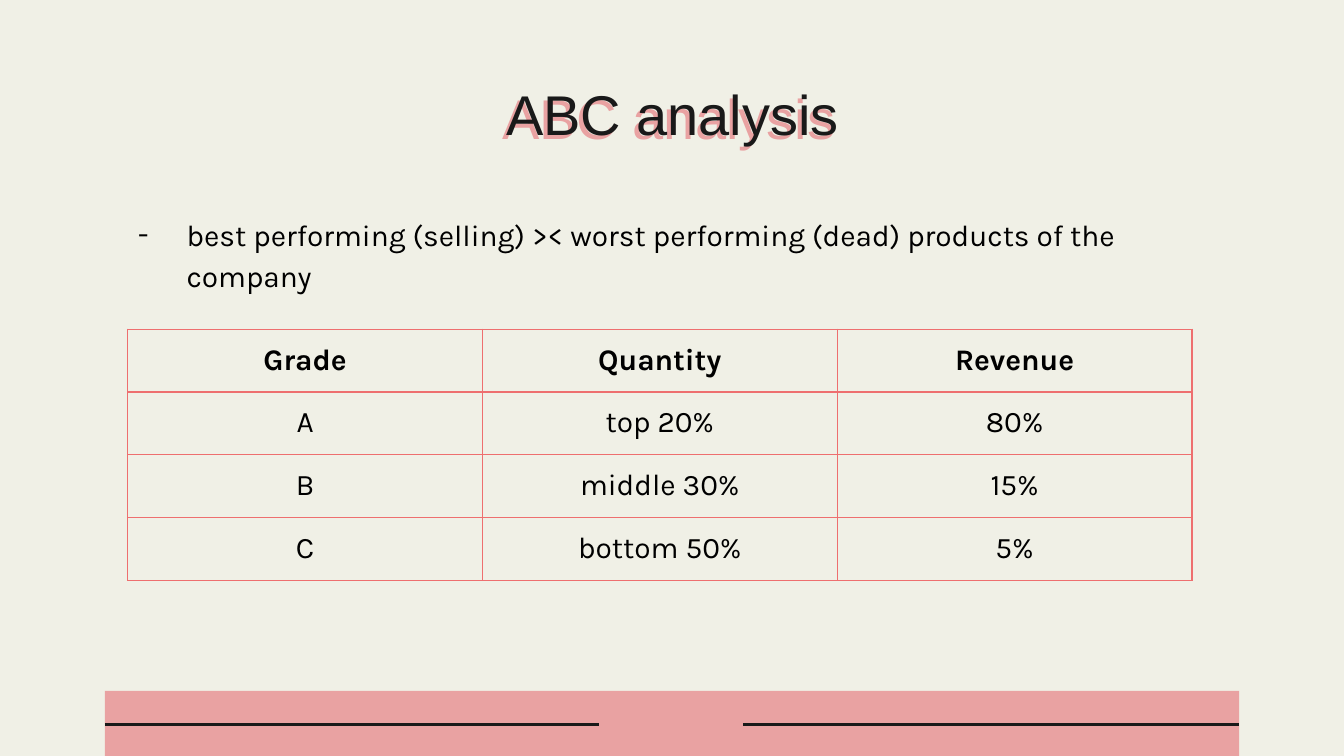
from lxml.etree import SubElement
from pptx import Presentation
from pptx.dml.color import RGBColor
from pptx.enum.shapes import MSO_CONNECTOR, MSO_SHAPE
from pptx.enum.text import MSO_ANCHOR, PP_ALIGN
from pptx.oxml.ns import qn
from pptx.util import Inches, Pt

TITLE = "ABC analysis"
BULLET = "best performing (selling) >< worst performing (dead) products of the company"
ROWS = [
    ("Grade", "Quantity", "Revenue"),
    ("A", "top 20%", "80%"),
    ("B", "middle 30%", "15%"),
    ("C", "bottom 50%", "5%"),
]
FOOTER_LINES = [(0.78, 4.46), (5.53, 9.22)]
COLORS = {
    "background": "F0F0E6",
    "pink": "E9A2A2",
    "dark": "191919",
    "text": "000000",
    "border": "EE6F6F",
}
COLUMN_WIDTH, ROW_HEIGHT = 2.64, 0.42


def rgb(name):
    return RGBColor.from_string(COLORS[name])


def add_run(paragraph, text, size, font, color, bold=False):
    run = paragraph.add_run()
    run.text = text
    run.font.size = Pt(size)
    run.font.name = font
    run.font.bold = bold
    run.font.color.rgb = rgb(color)


def add_text_box(slide, left, top, width, height):
    box = slide.shapes.add_textbox(*map(Inches, (left, top, width, height)))
    frame = box.text_frame
    frame.word_wrap = True
    frame.vertical_anchor = MSO_ANCHOR.TOP
    frame.margin_left = frame.margin_right = Inches(0.1)
    frame.margin_top = frame.margin_bottom = Inches(0.1)
    return box


def add_footer(slide):
    band = slide.shapes.add_shape(
        MSO_SHAPE.RECTANGLE, Inches(0.78), Inches(5.14), Inches(8.44), Inches(0.51))
    band.shadow.inherit = False
    band.fill.solid()
    band.fill.fore_color.rgb = rgb("pink")
    band.line.fill.background()
    for start, end in FOOTER_LINES:
        line = slide.shapes.add_connector(
            MSO_CONNECTOR.STRAIGHT, Inches(start), Inches(5.39), Inches(end), Inches(5.39))
        line.line.color.rgb = rgb("dark")
        line.line.width = Pt(1.5)
        SubElement(line._element.spPr, qn("a:effectLst"))


def add_title(slide):
    box = add_text_box(slide, 0.79, 0.49, 8.43, 0.63)
    paragraph = box.text_frame.paragraphs[0]
    paragraph.alignment = PP_ALIGN.CENTER
    add_run(paragraph, TITLE, 30, "Arial", "dark")
    effects = SubElement(box._element.spPr, qn("a:effectLst"))
    shadow = SubElement(effects, qn("a:outerShdw"), dist=str(Inches(0.04)),
                        dir="8100000", algn="bl", rotWithShape="0")
    SubElement(shadow, qn("a:srgbClr"), val=COLORS["pink"])


def add_bullet(slide):
    box = add_text_box(slide, 0.79, 1.47, 8.23, 0.78)
    paragraph = box.text_frame.paragraphs[0]
    paragraph.line_spacing = 1.15
    properties = paragraph._p.get_or_add_pPr()
    properties.set("marL", str(Inches(0.5)))
    properties.set("indent", str(Inches(-0.36)))
    bullet_color = SubElement(properties, qn("a:buClr"))
    SubElement(bullet_color, qn("a:srgbClr"), val=COLORS["text"])
    SubElement(properties, qn("a:buFont"), typeface="Karla")
    SubElement(properties, qn("a:buChar"), char="-")
    add_run(paragraph, BULLET, 16, "Karla", "text")


def set_borders(cell):
    properties = cell._tc.get_or_add_tcPr()
    for side in "LRTB":
        line = SubElement(properties, qn(f"a:ln{side}"), w=str(Pt(0.75)))
        fill = SubElement(line, qn("a:solidFill"))
        SubElement(fill, qn("a:srgbClr"), val=COLORS["border"])


def add_grade_table(slide):
    columns = len(ROWS[0])
    table = slide.shapes.add_table(
        len(ROWS), columns, Inches(0.95), Inches(2.45),
        Inches(COLUMN_WIDTH * columns), Inches(ROW_HEIGHT * len(ROWS))).table
    table.horz_banding = False
    for column in table.columns:
        column.width = Inches(COLUMN_WIDTH)
    for r, values in enumerate(ROWS):
        table.rows[r].height = Inches(ROW_HEIGHT)
        for c, value in enumerate(values):
            cell = table.cell(r, c)
            cell.margin_left = cell.margin_right = Inches(0.1)
            cell.margin_top = cell.margin_bottom = Inches(0.1)
            set_borders(cell)
            cell.fill.background()
            paragraph = cell.text_frame.paragraphs[0]
            paragraph.alignment = PP_ALIGN.CENTER
            add_run(paragraph, value, 16, "Karla", "text", bold=r == 0)


def main():
    presentation = Presentation()
    presentation.slide_width = Inches(10)
    presentation.slide_height = presentation.slide_width * 9 // 16
    slide = presentation.slides.add_slide(presentation.slide_layouts[6])
    slide.background.fill.solid()
    slide.background.fill.fore_color.rgb = rgb("background")
    add_footer(slide)
    add_title(slide)
    add_bullet(slide)
    add_grade_table(slide)
    presentation.save("out.pptx")


if __name__ == "__main__":
    main()
